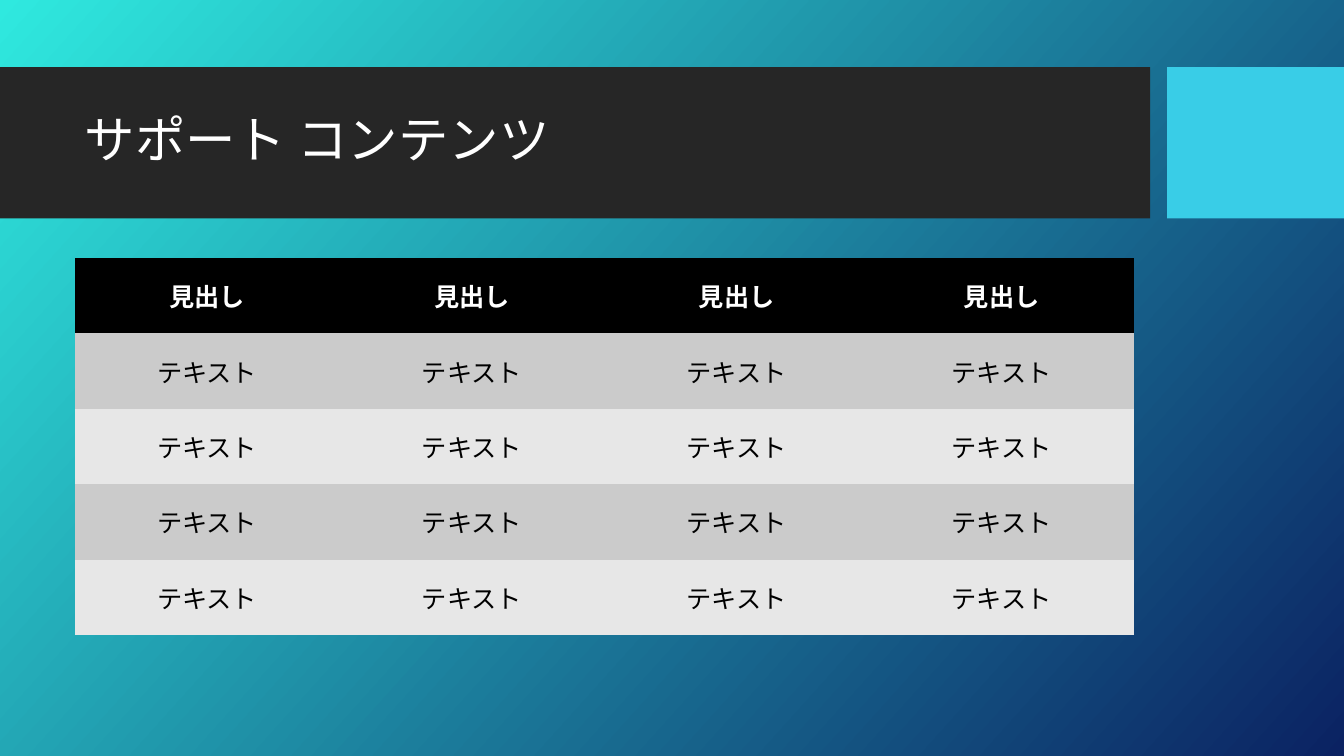
from dataclasses import dataclass

from lxml import etree
from pptx import Presentation
from pptx.dml.color import RGBColor
from pptx.enum import lang, shapes, text
from pptx.oxml import ns
from pptx.util import Pt

FONT = "Noto Sans CJK JP"
WHITE = RGBColor(0xFF, 0xFF, 0xFF)
BLACK = RGBColor(0x00, 0x00, 0x00)
CHARCOAL = RGBColor(0x26, 0x26, 0x26)
SKY = RGBColor(0x39, 0xCD, 0xE7)
TURQUOISE = RGBColor(0x2F, 0xE9, 0xDF)
NAVY = RGBColor(0x0B, 0x22, 0x62)
DARK_ROW = RGBColor(0xCB, 0xCB, 0xCB)
LIGHT_ROW = RGBColor(0xE7, 0xE7, 0xE7)

BAND_TOP, BAND_HEIGHT = 48, 108
CONTENT_LEFT, CONTENT_WIDTH = 53.3, 756.8
TABLE_TOP, ROW_HEIGHT = 184.3, 53.86
COLUMN_COUNT = 4
PLAIN_TABLE_STYLE = "{2D5ABB26-0587-4C30-8999-92F81FD0307C}"


@dataclass(frozen=True)
class Band:
    left: float
    width: float
    color: RGBColor


@dataclass(frozen=True)
class TableRow:
    label: str
    fill: RGBColor
    color: RGBColor = BLACK
    bold: bool = False


BANDS = [Band(0, 821.5, CHARCOAL), Band(833.6, 126.4, SKY)]
ROWS = [TableRow("見出し", BLACK, WHITE, True)] + [
    TableRow("テキスト", fill) for fill in (DARK_ROW, LIGHT_ROW) * 2
]


def write_text(frame, words: str, alignment, size: float, color: RGBColor, bold: bool = False) -> None:
    paragraph = frame.paragraphs[0]
    paragraph.alignment = alignment
    run = paragraph.add_run()
    run.text = words
    font_format = {
        "name": FONT,
        "size": Pt(size),
        "bold": bold,
        "language_id": lang.MSO_LANGUAGE_ID.JAPANESE,
    }
    for name, value in font_format.items():
        setattr(run.font, name, value)
    run.font.color.rgb = color


def paint_background(slide) -> None:
    fill = slide.background.fill
    fill.gradient()
    fill.gradient_angle = 360 - 42
    for stop, color in zip(fill.gradient_stops, (TURQUOISE, NAVY)):
        stop.color.rgb = color


def add_band(slide, band: Band) -> None:
    shape = slide.shapes.add_shape(
        shapes.MSO_SHAPE.RECTANGLE,
        Pt(band.left), Pt(BAND_TOP), Pt(band.width), Pt(BAND_HEIGHT),
    )
    shape.shadow.inherit = False
    shape.fill.solid()
    shape.fill.fore_color.rgb = band.color
    shape.line.fill.background()


def place_title(slide, words: str) -> None:
    """Format the title placeholder and bring it in front of the bands."""
    title = slide.shapes.title
    slide.shapes[-1].element.addnext(title.element)
    box = {"left": CONTENT_LEFT, "top": 59, "width": CONTENT_WIDTH, "height": 85}
    for name, value in box.items():
        setattr(title, name, Pt(value))
    frame = title.text_frame
    frame.vertical_anchor = text.MSO_ANCHOR.MIDDLE
    write_text(frame, words, text.PP_ALIGN.LEFT, 36, WHITE)
    frame.paragraphs[0].line_spacing = 0.9


def add_content_table(slide, rows: list[TableRow]) -> None:
    graphic = slide.shapes.add_table(
        len(rows), COLUMN_COUNT,
        Pt(CONTENT_LEFT), Pt(TABLE_TOP), Pt(CONTENT_WIDTH), Pt(ROW_HEIGHT * len(rows)),
    )
    next(graphic.element.iter(ns.qn("a:tableStyleId"))).text = PLAIN_TABLE_STYLE
    for table_row, row in zip(graphic.table.rows, rows):
        table_row.height = Pt(ROW_HEIGHT)
        for cell in table_row.cells:
            cell.fill.solid()
            cell.fill.fore_color.rgb = row.fill
            cell.vertical_anchor = text.MSO_ANCHOR.MIDDLE
            write_text(cell.text_frame, row.label, text.PP_ALIGN.CENTER, 18, row.color, row.bold)


def set_east_asian_font(slide) -> None:
    """Give Japanese characters the same typeface as Latin ones."""
    for latin in list(slide.element.iter(ns.qn("a:latin"))):
        east_asian = etree.Element(ns.qn("a:ea"), typeface=FONT)
        latin.addnext(east_asian)


def main() -> None:
    presentation = Presentation()
    presentation.slide_width, presentation.slide_height = Pt(960), Pt(540)
    slide = presentation.slides.add_slide(presentation.slide_layouts.get_by_name("Title Only"))
    paint_background(slide)
    for band in BANDS:
        add_band(slide, band)
    place_title(slide, "サポート コンテンツ")
    add_content_table(slide, ROWS)
    set_east_asian_font(slide)
    presentation.save("out.pptx")


if __name__ == "__main__":
    main()
